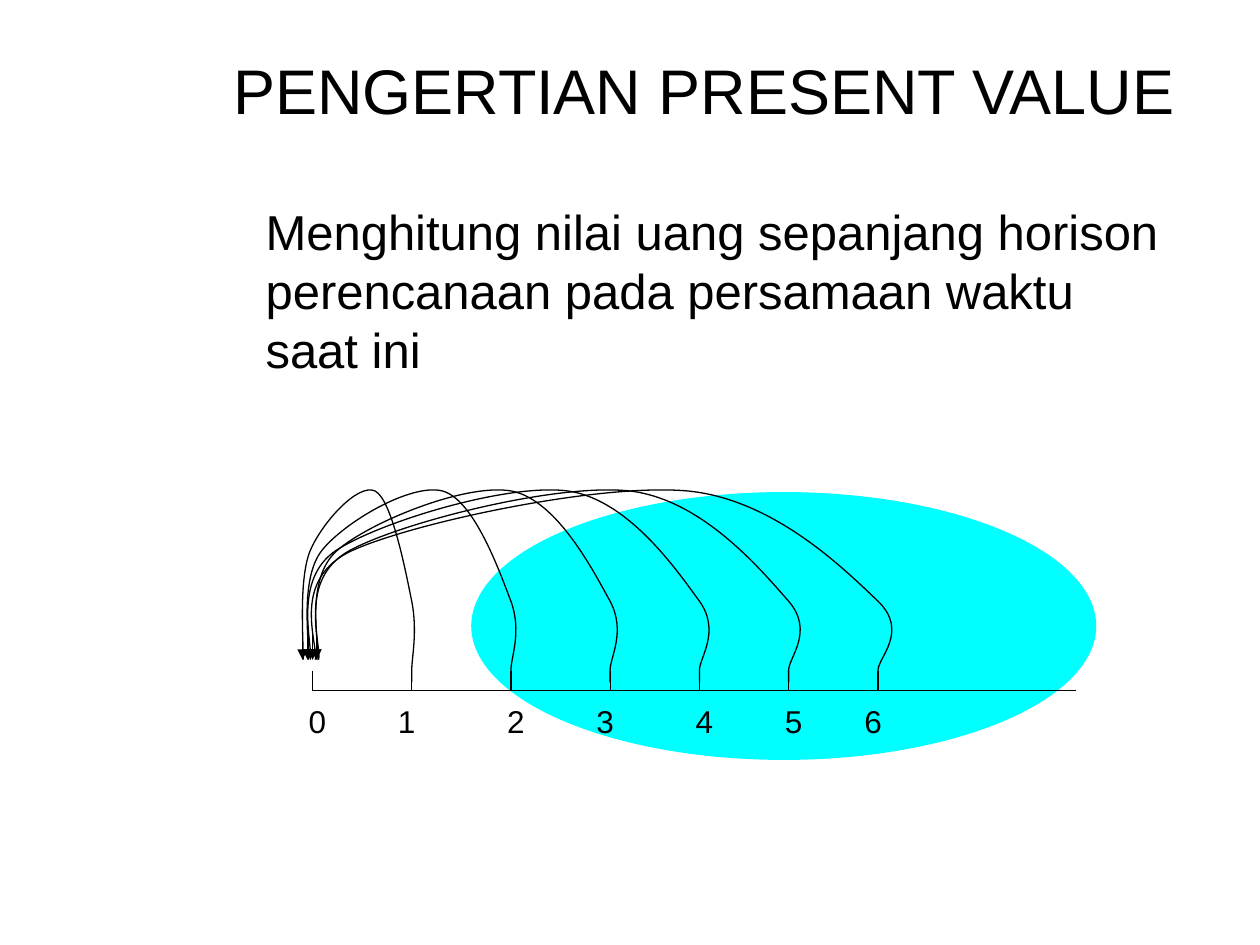
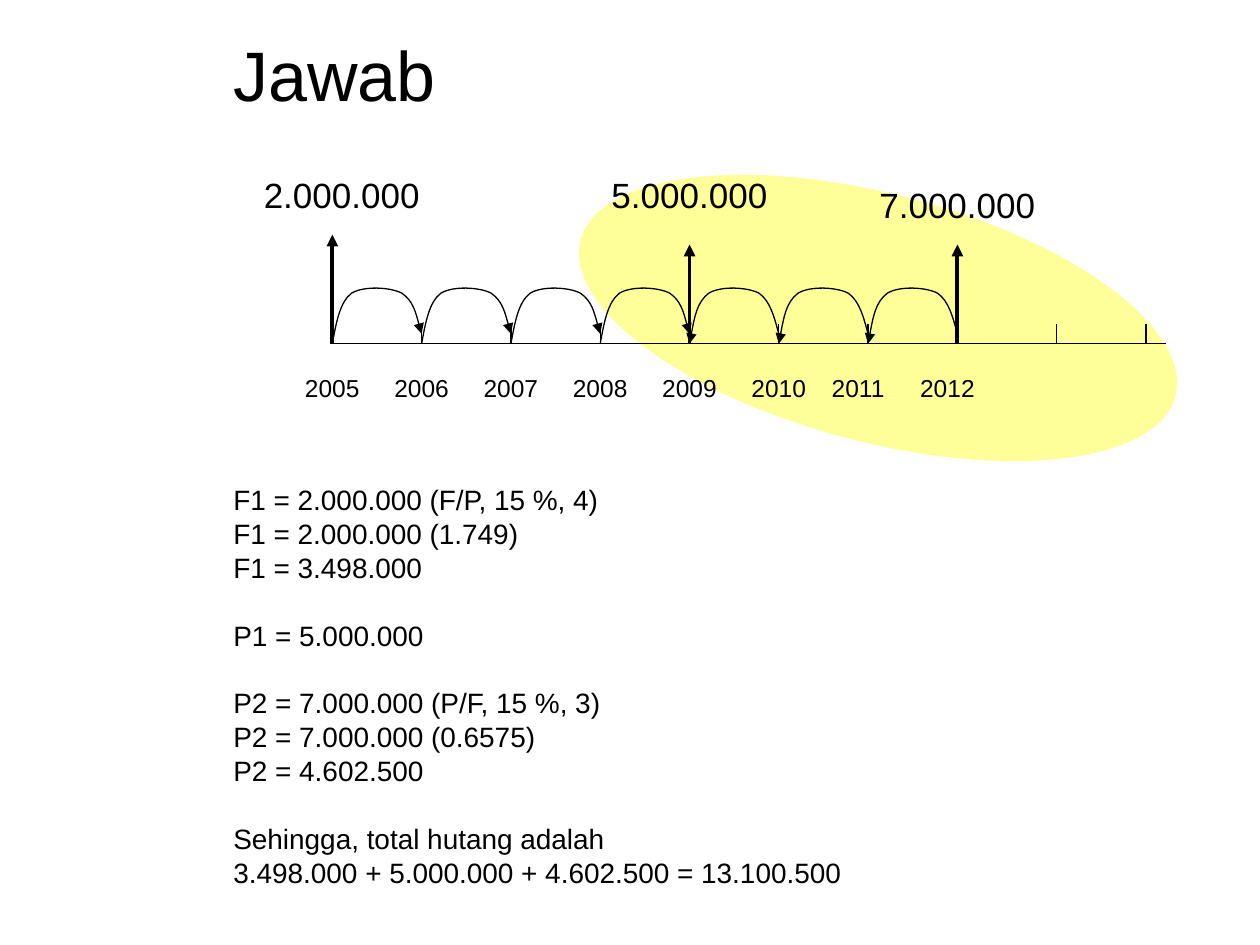
import pptx
import pptx.dml.color
import pptx.enum.shapes
import pptx.enum.text
import pptx.oxml
import pptx.oxml.ns
import pptx.util

Cm, Pt = pptx.util.Cm, pptx.util.Pt
ALIGN = pptx.enum.text.PP_ALIGN
MIDDLE = pptx.enum.text.MSO_ANCHOR.MIDDLE
INK, CYAN, YELLOW = "000000", "00FFFF", "FFFF99"
FONT = "Arial"
THIN, THICK = 0.75, 2.25
TITLE_LEFT, TITLE_TOP, TITLE_WIDTH = 4.45, 0.64, 19.89

DISCOUNT_ARC = [(0, 0.2), (0, 0.15), (0, 0.13), (0, 0.41),
                (0, 0.66), (0.055, 1.19), (0, 1.8),
                (-0.055, 2.39), (-0.18, 3.84), (-0.335, 4.02),
                (-0.49, 4.19), (-0.82, 3.39), (-0.93, 2.82),
                (-1.04, 2.24), (-0.99, 0.97), (-0.995, 0.62)]
YEAR_ARC = [(0, 0), (0.08, 0.43), (0.15, 0.84), (0.39, 1.02),
            (0.64, 1.17), (1.17, 1.14), (1.4, 1.02),
            (1.63, 0.86), (1.71, 0.53), (1.8, 0.2)]
SOLUTION = [
    ["F1 = 2.000.000 (F/P, 15 %, 4)", "F1 = 2.000.000 (1.749)", "F1 = 3.498.000"],
    ["P1 = 5.000.000"],
    ["P2 = 7.000.000 (P/F, 15 %, 3)", "P2 = 7.000.000 (0.6575)", "P2 = 4.602.500"],
    ["Sehingga, total hutang adalah",
     "3.498.000 + 5.000.000 + 4.602.500 = 13.100.500"],
]


def rgb(value):
    """Return the colour of a hex string."""
    return pptx.dml.color.RGBColor.from_string(value)


def element(tag, attributes=""):
    """Make an empty drawing element."""
    return pptx.oxml.parse_xml(
        f'<a:{tag} {pptx.oxml.ns.nsdecls("a")} {attributes}/>')


def apply(obj, **values):
    """Set each named attribute on an object."""
    for name, value in values.items():
        setattr(obj, name, value)


def move(sp, left, top, width, height):
    """Place a shape, in centimetres."""
    apply(sp, left=Cm(left), top=Cm(top), width=Cm(width), height=Cm(height))


def write(p, text, size, **format_values):
    """Fill a paragraph with one formatted run."""
    apply(p, **format_values)
    r = p.add_run()
    r.text = text
    apply(r.font, name=FONT, size=Pt(size))
    r.font.color.rgb = rgb(INK)


def style_line(sp, weight=THIN, arrow=None):
    """Ink an outline and put an arrowhead on its headEnd or tailEnd."""
    sp.line.color.rgb = rgb(INK)
    sp.line.width = Pt(weight)
    if arrow:
        sp.line._get_or_add_ln().append(element(arrow, 'type="triangle"'))


def add_line(slide, x1, y1, x2, y2, weight=THIN, arrow=None):
    """Draw a straight connector without a shadow."""
    sp = slide.shapes.add_connector(
        pptx.enum.shapes.MSO_CONNECTOR.STRAIGHT, Cm(x1), Cm(y1), Cm(x2), Cm(y2))
    style_line(sp, weight, arrow)
    sp._element.spPr.append(element("effectLst"))


def add_curve(slide, points, arrow=None):
    """Draw an open outline, each three points after the start making a cubic."""
    start, *rest = [(Cm(x), Cm(y)) for x, y in points]
    builder = slide.shapes.build_freeform(*start)
    builder.add_line_segments(rest, close=False)
    sp = builder.convert_to_shape()
    segments = sp._element.findall(".//" + pptx.oxml.ns.qn("a:lnTo"))
    for i in range(0, len(segments), 3):
        cubic = element("cubicBezTo")
        segments[i].addprevious(cubic)
        for segment in segments[i:i + 3]:
            cubic.append(segment[0])
            segment.getparent().remove(segment)
    sp.fill.background()
    sp.shadow.inherit = False
    style_line(sp, arrow=arrow)


def add_ellipse(slide, box, color, rotation=0):
    """Draw a plain coloured ellipse."""
    sp = slide.shapes.add_shape(
        pptx.enum.shapes.MSO_SHAPE.OVAL, *[Cm(v) for v in box])
    sp.fill.solid()
    sp.fill.fore_color.rgb = rgb(color)
    sp.line.fill.background()
    sp.shadow.inherit = False
    sp.rotation = rotation


def add_label(slide, text, x, y, size, width, height=0.8):
    """Write a label centred on a point."""
    sp = slide.shapes.add_textbox(
        Cm(x - width / 2), Cm(y - height / 2), Cm(width), Cm(height))
    apply(sp.text_frame, word_wrap=False, vertical_anchor=MIDDLE,
          margin_left=0, margin_right=0)
    write(sp.text_frame.paragraphs[0], text, size, alignment=ALIGN.CENTER)


def add_axis(slide, left, base, length, ticks):
    """Draw a time axis with its ticks."""
    add_line(slide, left, base, left + length, base)
    for tick in ticks:
        add_line(slide, left + tick, base - 0.4, left + tick, base)


def add_page(prs, title, size, height):
    """Add a slide with a formatted title."""
    slide = prs.slides.add_slide(prs.slide_layouts[1])
    sp = slide.shapes.title
    move(sp, TITLE_LEFT, TITLE_TOP, TITLE_WIDTH, height)
    tf = sp.text_frame
    apply(tf, vertical_anchor=MIDDLE, auto_size=pptx.enum.text.MSO_AUTO_SIZE.NONE)
    write(tf.paragraphs[0], title, size, alignment=ALIGN.LEFT)
    return slide


def fill_body(slide, box, groups, size, before, spacing, gap=0):
    """Fill the body with groups of unbulleted lines, a gap between groups."""
    sp = slide.placeholders[1]
    move(sp, *box)
    tf = sp.text_frame
    tf.auto_size = pptx.enum.text.MSO_AUTO_SIZE.NONE
    p = tf.paragraphs[0]
    for g, lines in enumerate(groups):
        for i, text in enumerate(lines):
            if g or i:
                p = tf.add_paragraph()
            extra = gap if g and not i else 0
            write(p, text, size, space_before=Pt(before + extra), line_spacing=spacing)
            pPr = p._p.get_or_add_pPr()
            pPr.set("marL", "0")
            pPr.set("indent", "0")
            pPr.append(element("buNone"))


def draw_discounting(slide, left, base):
    """Draw arcs that bring each period back to time zero."""
    ticks = [0, 2, 4, 6, 7.8, 9.6, 11.4]
    labels = [0.1, 1.9, 4.1, 5.9, 7.9, 9.7, 11.3]
    ends = [-0.2, -0.1, 0.08, -0.08, 0.08, 0]
    add_ellipse(slide, (left + 3.2, base - 4, 12.6, 5.4), CYAN)
    add_axis(slide, left, base, 15.4, ticks)
    for tick, end in zip(ticks[1:], ends):
        add_curve(slide, [(left + tick + x * (tick - end), base - y)
                          for x, y in DISCOUNT_ARC])
        add_line(slide, left + end, base - 1.22, left + end, base - 0.62,
                 arrow="tailEnd")
    for period, x in enumerate(labels):
        add_label(slide, str(period), left + x, base + 0.62, 18, 0.6)


def draw_debts(slide, left, base):
    """Draw the yearly timeline with payments moved to 2009."""
    step, target = 1.8, 4
    years = [n * step for n in range(8)]
    add_ellipse(slide, (left + 4.8, base - 3.02, 12.4, 5), YELLOW, 14.7)
    add_axis(slide, left, base, 16.8, years + [14.6, 16.4])
    for n, x in enumerate(years):
        shift = 0.2 if n > 5 else 0
        add_label(slide, str(2005 + n), left + x - shift, base + 0.88, 14, 1.4, 1)
    for n, x in enumerate(years[:-1]):
        add_curve(slide, [(left + x + dx, base - dy) for dx, dy in YEAR_ARC],
                  "tailEnd" if n < target else "headEnd")
    for n, amount, height, shift, rise in ((0, "2.000.000", 2.2, 0.19, 3),
                                           (4, "5.000.000", 2, 0, 3),
                                           (7, "7.000.000", 2, 0, 2.8)):
        x = left + years[n]
        add_line(slide, x, base, x, base - height, THICK, "tailEnd")
        add_label(slide, amount, x + shift, base - rise, 20, 4.4)


def main():
    """Build and save both slides."""
    prs = pptx.Presentation()
    apply(prs, slide_width=Cm(25.4), slide_height=Cm(19.05))
    slide = add_page(prs, "PENGERTIAN PRESENT VALUE", 36, 2.34)
    fill_body(slide, (5.1, 3.94, 18.8, 4.37),
              [["Menghitung nilai uang sepanjang horison perencanaan "
                "pada persamaan waktu saat ini"]], 28, 7, 1)
    draw_discounting(slide, 6.3, 13.92)
    slide = add_page(prs, "Jawab", 40, 1.68)
    fill_body(slide, (TITLE_LEFT, 9.73, TITLE_WIDTH, 8.6), SOLUTION, 16, 4, 0.8, 19.4)
    draw_debts(slide, 6.7, 6.93)
    prs.save("out.pptx")


if __name__ == "__main__":
    main()
